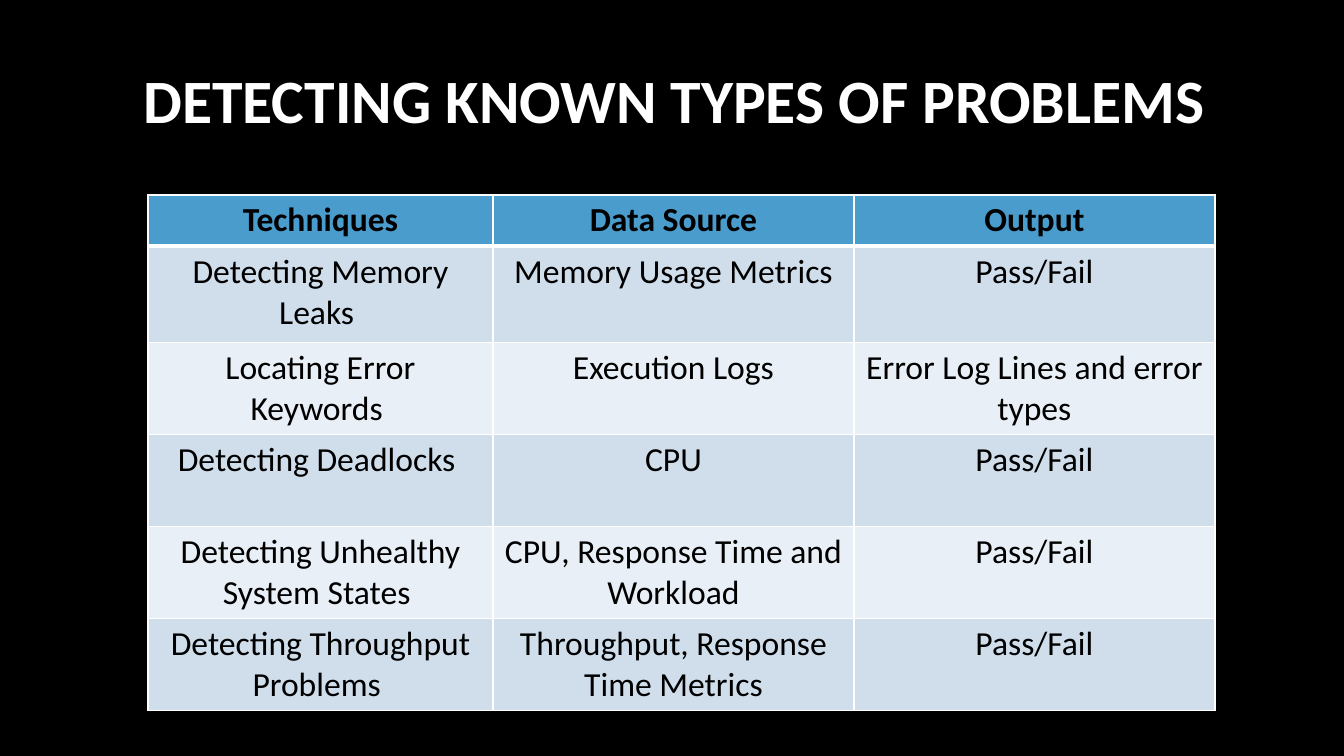
"""Build a slide with a table of techniques for detecting known problems."""
import pptx
import pptx.util
import pptx.dml.color
import pptx.enum.text
import pptx.oxml
import pptx.oxml.ns

RGB = pptx.dml.color.RGBColor
BLACK = RGB(0x00, 0x00, 0x00)
WHITE = RGB(0xFF, 0xFF, 0xFF)
BLUE = RGB(0x4A, 0x9C, 0xCC)
PALE = RGB(0xD0, 0xDE, 0xEC)
LIGHT = RGB(0xE9, 0xEF, 0xF6)

TITLE = "DETECTING KNOWN TYPES OF PROBLEMS "
ROWS = [
    ("Techniques", "Data Source", "Output"),
    ("Detecting Memory Leaks ", "Memory Usage Metrics", "Pass/Fail"),
    ("Locating Error Keywords ", "Execution Logs", "Error Log Lines and error types"),
    ("Detecting Deadlocks ", "CPU", "Pass/Fail"),
    ("Detecting Unhealthy System States ", "CPU, Response Time and Workload", "Pass/Fail"),
    ("Detecting Throughput Problems ", "Throughput, Response Time Metrics", "Pass/Fail"),
]
SIZE = (1344, 756)
HEAD = (101, 31, 1161, 146)
ORIGIN = (148, 195)
WIDTHS = [345, 361, 361]
HEIGHTS = [51, 96] + [92] * 4


def px(*values):
    return [pptx.util.Emu(round(value * 914400 / 100.8)) for value in values]


def write(frame, text, size=24, color=BLACK, bold=False, spacing=1.0):
    para = frame.paragraphs[0]
    para.alignment = pptx.enum.text.PP_ALIGN.CENTER
    para.line_spacing = spacing
    run = para.add_run()
    run.text = text
    font = run.font
    font.name, font.size, font.bold = "Calibri", pptx.util.Pt(size), bold
    font.color.rgb = color


def border(cell, top, bottom):
    props = cell._tc.get_or_add_tcPr()
    for side, width in (("L", 1), ("R", 1), ("T", top), ("B", bottom)):
        props.append(pptx.oxml.parse_xml(
            f'<a:ln{side} {pptx.oxml.ns.nsdecls("a")} w="{pptx.util.Pt(width)}">'
            f'<a:solidFill><a:srgbClr val="{WHITE}"/></a:solidFill></a:ln{side}>'))


def add_title(slide):
    title = slide.shapes.title
    title.left, title.top, title.width, title.height = px(*HEAD)
    frame = title.text_frame
    frame.word_wrap = True
    frame.auto_size = pptx.enum.text.MSO_AUTO_SIZE.NONE
    frame.vertical_anchor = pptx.enum.text.MSO_ANCHOR.MIDDLE
    write(frame, TITLE, size=44, color=WHITE, bold=True, spacing=0.9)


def add_grid(slide):
    box = px(*ORIGIN, sum(WIDTHS), sum(HEIGHTS))
    table = slide.shapes.add_table(len(ROWS), len(WIDTHS), *box).table
    for column, width in zip(table.columns, px(*WIDTHS)):
        column.width = width
    for row, height in zip(table.rows, px(*HEIGHTS)):
        row.height = height
    for r, texts in enumerate(ROWS):
        fill = BLUE if r == 0 else PALE if r % 2 else LIGHT
        for c, text in enumerate(texts):
            cell = table.cell(r, c)
            border(cell, top=3 if r == 1 else 1, bottom=3 if r == 0 else 1)
            cell.fill.solid()
            cell.fill.fore_color.rgb = fill
            write(cell.text_frame, text, bold=r == 0)


def main():
    deck = pptx.Presentation()
    deck.slide_width, deck.slide_height = px(*SIZE)
    slide = deck.slides.add_slide(deck.slide_layouts[5])
    slide.background.fill.solid()
    slide.background.fill.fore_color.rgb = BLACK
    add_title(slide)
    add_grid(slide)
    deck.save("out.pptx")


if __name__ == "__main__":
    main()
